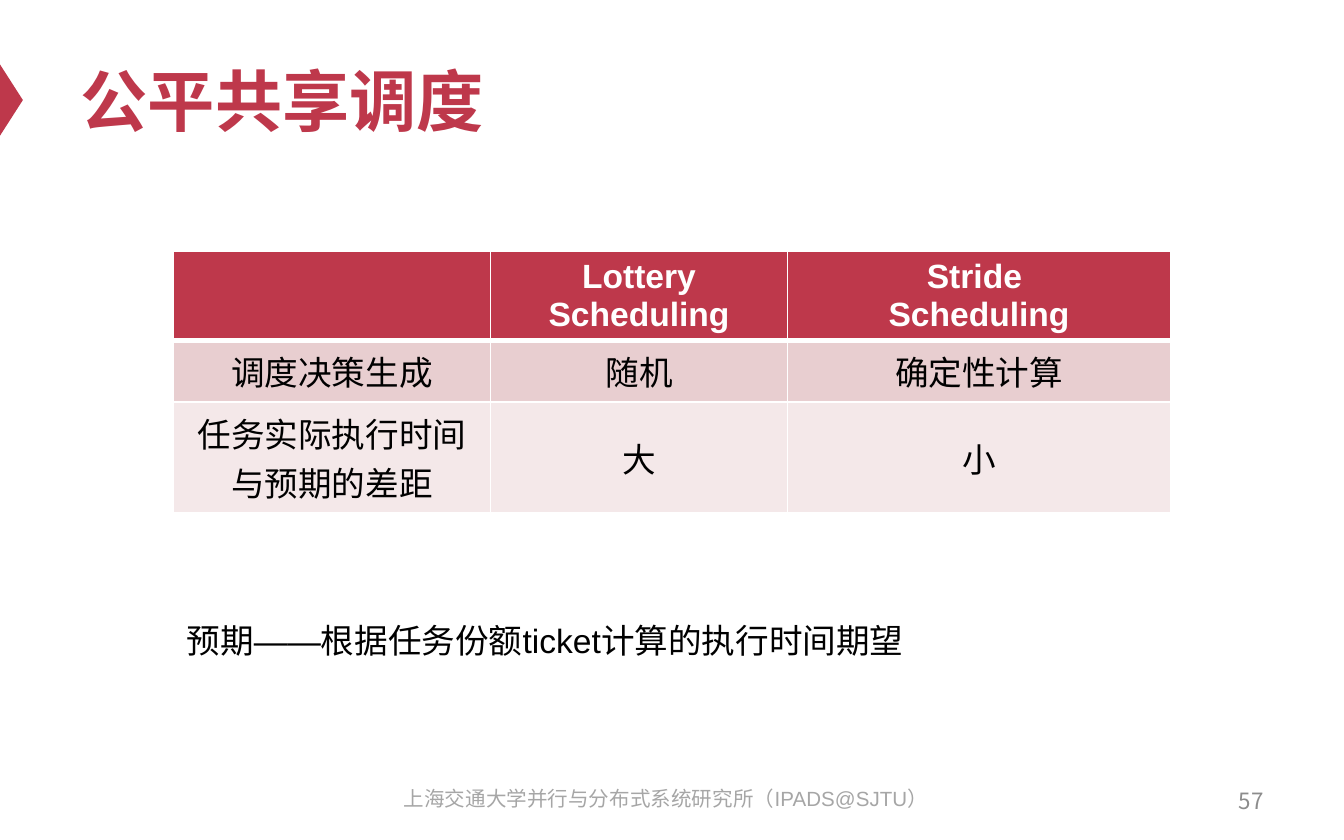
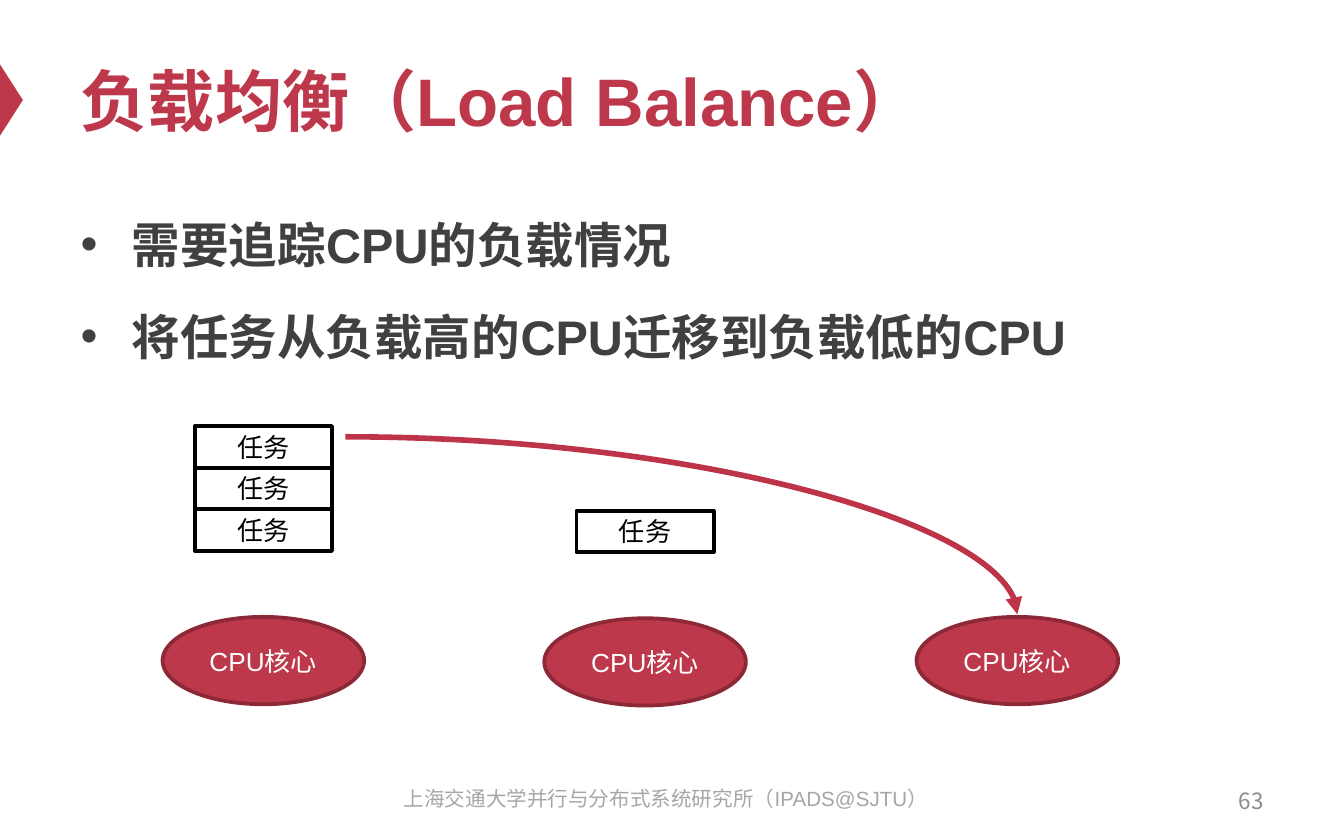
from dataclasses import dataclass

from lxml.etree import SubElement
from pptx import Presentation
from pptx.dml.color import RGBColor
from pptx.enum.shapes import MSO_CONNECTOR, MSO_SHAPE
from pptx.enum.text import MSO_ANCHOR, MSO_AUTO_SIZE, PP_ALIGN
from pptx.oxml.ns import qn
from pptx.util import Inches, Pt


@dataclass(frozen=True)
class Theme:
    """Colours, fonts and type sizes of the deck."""
    red: str = "BE384B"
    dark_red: str = "8D2937"
    arrow: str = "BD3347"
    header_text: str = "FFFFFF"
    black: str = "000000"
    body_text: str = "404040"
    page_text: str = "8C8C8C"
    footer_text: str = "A6A6A6"
    rows: tuple = ("BE384B", "E8CED0", "F4E8E9")
    latin: str = "Arial"
    cjk: str = "Noto Sans CJK SC"
    title_size: int = 36
    body_size: int = 26
    text_size: int = 18
    label_size: int = 14
    page_size: int = 12
    footer_size: int = 11


FOOTER = "上海交通大学并行与分布式系统研究所（IPADS@SJTU）"


def rgb(value):
    """Turn a hex string into a colour."""
    return RGBColor.from_string(value)


def box(left, top, width, height):
    """Convert four lengths to inches."""
    return tuple(Inches(length) for length in (left, top, width, height))


def write(frame, text, *, size, color, font=Theme.latin, east_asian=Theme.latin,
          bold=False, align=PP_ALIGN.LEFT, anchor=MSO_ANCHOR.TOP,
          bullet=None, spacing=None, gap=0):
    """Fill a text frame, one paragraph per line of text."""
    frame.word_wrap = True
    frame.auto_size = MSO_AUTO_SIZE.NONE
    frame.vertical_anchor = anchor
    for index, line in enumerate(text.split("\n")):
        paragraph = frame.add_paragraph() if index else frame.paragraphs[0]
        paragraph.alignment = align
        if bullet:
            properties = paragraph._p.get_or_add_pPr()
            properties.set("marL", str(Inches(0.38)))
            properties.set("indent", str(-Inches(0.38)))
            SubElement(properties, qn("a:buChar"), char=bullet)
        if spacing:
            paragraph.line_spacing = spacing
        paragraph.space_before = Pt(gap if index else 0)
        run = paragraph.add_run()
        run.text = line
        run.font.name, run.font.size, run.font.bold = font, Pt(size), bold
        run.font.color.rgb = rgb(color)
        SubElement(run._r.get_or_add_rPr(), qn("a:ea"), typeface=east_asian)


class Deck:
    """Hold the theme, the presentation and the current slide."""

    def __init__(self, theme):
        """Start an empty presentation."""
        self.theme = theme
        self.presentation = Presentation()
        self.presentation.slide_width = Inches(10)
        self.presentation.slide_height = Inches(6.25)

    def new_slide(self, title, page, bullets=None):
        """Add a slide with its marker, title, list, page number and footer."""
        theme = self.theme
        layout = self.presentation.slide_layouts[1 if bullets else 5]
        self.slide = self.presentation.slides.add_slide(layout)
        marker = self.shape(MSO_SHAPE.ISOSCELES_TRIANGLE, (-0.18, 0.66, 0.53, 0.17), fill=theme.red)
        marker.rotation = 90
        self.placeholder(0, (0.5, 0.25, 9, 0.98), title, size=theme.title_size,
                         color=theme.red, bold=True, anchor=MSO_ANCHOR.MIDDLE)
        if bullets:
            self.placeholder(1, (0.5, 1.46, 9, 4.12), bullets, size=theme.body_size,
                             color=theme.body_text, bold=True, bullet="•", spacing=1.2, gap=12)
        self.text((7.17, 5.79, 2.33, 0.33), page, size=theme.page_size, color=theme.page_text,
                  font=theme.cjk, align=PP_ALIGN.RIGHT, anchor=MSO_ANCHOR.MIDDLE)
        self.text((2.79, 5.8, 4.33, 0.33), FOOTER, size=theme.footer_size,
                  color=theme.footer_text, align=PP_ALIGN.CENTER)

    def placeholder(self, index, area, text, **style):
        """Move and fill a placeholder of the layout."""
        holder = self.slide.placeholders[index]
        holder.left, holder.top, holder.width, holder.height = box(*area)
        write(holder.text_frame, text, **style)

    def text(self, area, text, **style):
        """Add a text box."""
        write(self.slide.shapes.add_textbox(*box(*area)).text_frame, text, **style)

    def shape(self, kind, area, fill=None, line=None, label=None, color=None):
        """Add a preset shape with an optional centred label."""
        shape = self.slide.shapes.add_shape(kind, *box(*area))
        shape.shadow.inherit = False
        if fill:
            shape.fill.solid()
            shape.fill.fore_color.rgb = rgb(fill)
        else:
            shape.fill.background()
        if line:
            shape.line.color.rgb = rgb(line)
            shape.line.width = Pt(2)
        else:
            shape.line.fill.background()
        if label:
            frame = shape.text_frame
            frame.margin_left = frame.margin_right = 0
            write(frame, label, size=self.theme.label_size, color=color,
                  align=PP_ALIGN.CENTER, anchor=MSO_ANCHOR.MIDDLE)
        return shape

    def curved_arrow(self, start, end):
        """Add a quarter-turn arrow between two points."""
        arrow = self.slide.shapes.add_connector(MSO_CONNECTOR.CURVE, *box(*start, *end))
        arrow.line.color.rgb = rgb(self.theme.arrow)
        arrow.line.width = Pt(3)
        properties = arrow._element.spPr
        properties.find(qn("a:prstGeom")).set("prst", "curvedConnector2")
        SubElement(properties.find(qn("a:ln")), qn("a:tailEnd"), type="triangle")
        SubElement(properties, qn("a:effectLst"))

    def table(self, area, widths, row_height, rows):
        """Add a table with a header row and white rules."""
        theme = self.theme
        table = self.slide.shapes.add_table(len(rows), len(widths), *box(*area)).table
        for column, width in zip(table.columns, widths):
            column.width = Inches(width)
        for row_index, values in enumerate(rows):
            table.rows[row_index].height = Inches(row_height)
            header = row_index == 0
            for column_index, value in enumerate(values):
                cell = table.cell(row_index, column_index)
                self.borders(cell, top=3 if row_index == 1 else 1, bottom=3 if header else 1)
                cell.fill.solid()
                cell.fill.fore_color.rgb = rgb(theme.rows[row_index])
                cell.vertical_anchor = MSO_ANCHOR.MIDDLE
                if value:
                    write(cell.text_frame, value, size=theme.text_size, bold=header,
                          color=theme.header_text if header else theme.black,
                          east_asian=theme.cjk, align=PP_ALIGN.CENTER, anchor=MSO_ANCHOR.MIDDLE)

    def borders(self, cell, top, bottom):
        """Rule the four sides of a cell in white."""
        properties = cell._tc.get_or_add_tcPr()
        for side, width in (("L", 1), ("R", 1), ("T", top), ("B", bottom)):
            rule = SubElement(properties, qn(f"a:ln{side}"), w=str(Pt(width)))
            fill = SubElement(rule, qn("a:solidFill"))
            SubElement(fill, qn("a:srgbClr"), val=self.theme.header_text)

    def core(self, left, top, task_count):
        """Add a CPU core with its stack of tasks above."""
        theme = self.theme
        task_height = 0.31
        for level in range(1, task_count + 1):
            self.shape(MSO_SHAPE.RECTANGLE,
                       (left + 0.24, top - 0.49 - level * task_height, 1.02, task_height),
                       line=theme.black, label="任务", color=theme.black)
        self.shape(MSO_SHAPE.OVAL, (left, top, 1.5, 0.65), fill=theme.red,
                   line=theme.dark_red, label="CPU核心", color=theme.header_text)


def fair_share(deck):
    """Compare the two fair-share schedulers."""
    deck.new_slide("公平共享调度", "57")
    deck.table((1.29, 1.87, 7.42, 1.23), (2.36, 2.21, 2.85), 0.41, (
        ("", "Lottery\nScheduling", "Stride \nScheduling"),
        ("调度决策生成", "随机", "确定性计算"),
        ("任务实际执行时间与预期的差距", "大", "小"),
    ))
    deck.text((1.29, 4.56, 5.59, 0.4), "预期——根据任务份额ticket计算的执行时间期望",
              size=deck.theme.text_size, color=deck.theme.black)


def load_balance(deck):
    """Show a task moving from a busy core to an idle one."""
    deck.new_slide("负载均衡（Load Balance）", "63",
                   "需要追踪CPU的负载情况\n将任务从负载高的CPU迁移到负载低的CPU")
    for left, top, task_count in ((1.21, 4.59, 3), (4.05, 4.6, 1), (6.82, 4.59, 0)):
        deck.core(left, top, task_count)
    deck.curved_arrow((2.57, 3.25), (7.57, 4.57))


def main():
    """Build and save the deck."""
    deck = Deck(Theme())
    fair_share(deck)
    load_balance(deck)
    deck.presentation.save("out.pptx")


if __name__ == "__main__":
    main()
